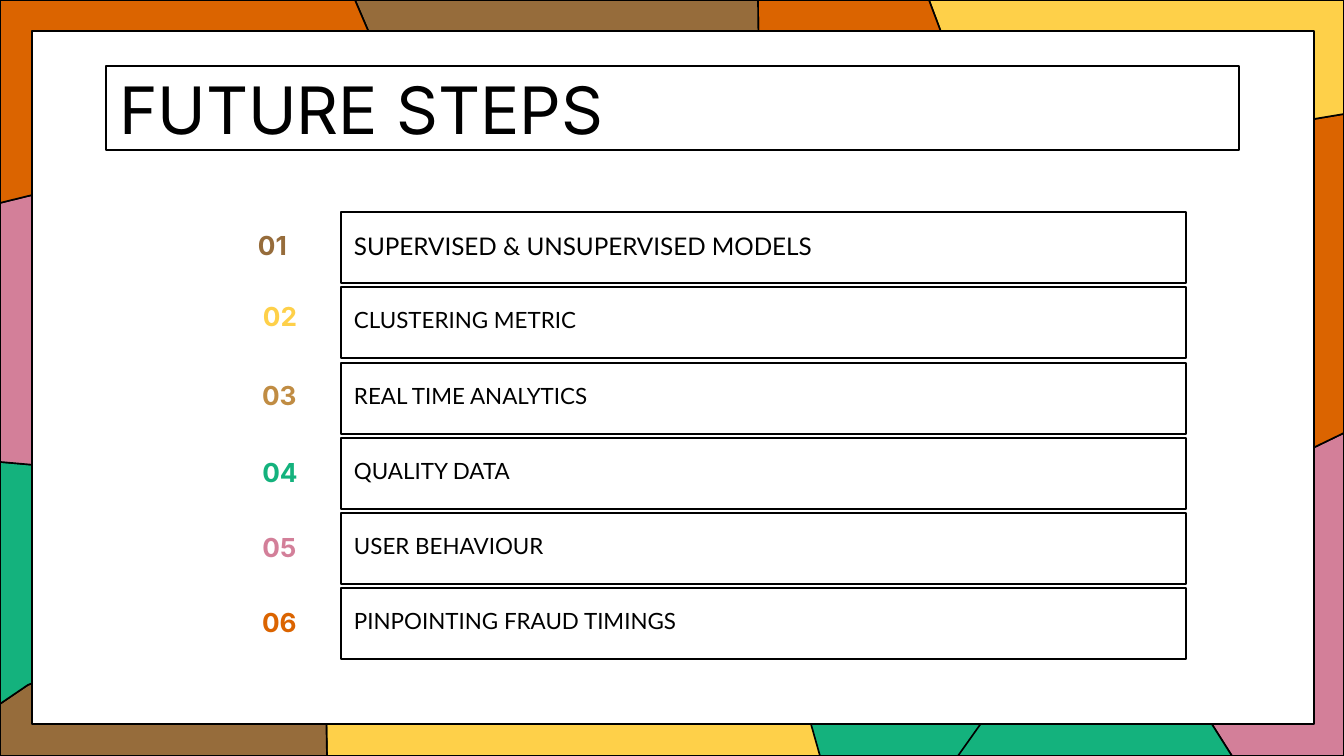
"""Builds the Future Steps slide: a mosaic border around six numbered boxes."""
import copy
import dataclasses

import pptx
import pptx.dml.color
import pptx.enum.shapes
import pptx.enum.text
import pptx.util

PX = 914400 / 134.4
ALIGN = pptx.enum.text.PP_ALIGN
ANCHOR = pptx.enum.text.MSO_ANCHOR


@dataclasses.dataclass(frozen=True)
class Theme:
    """Colours, fonts and type sizes of the slide."""
    black: str = "000000"
    white: str = "FFFFFF"
    brown: str = "966C3B"
    yellow: str = "FED049"
    tan: str = "C08C43"
    green: str = "14B27D"
    pink: str = "D37F99"
    orange: str = "DB6400"
    heading: str = "Inter"
    body: str = "Lato"
    title_size: int = 35
    number_size: int = 14
    lead_size: int = 13
    item_size: int = 12
    box_line: float = 0.75
    tile_line: float = 0.88


THEME = Theme()

TILES = [
    (THEME.yellow, [(327, 756), (326, 700), (300, 598), (310, 597), (534, 555),
                    (554, 574), (789, 689), (811, 724), (820, 756)]),
    (THEME.brown, [(0, 756), (0, 704), (28, 685), (141, 641), (300, 598),
                   (326, 700), (327, 756)]),
    (THEME.pink, [(1232, 756), (1160, 642), (1116, 569), (1224, 491),
                  (1344, 433), (1344, 756)]),
    (THEME.green, [(0, 704), (0, 462), (125, 473), (274, 559), (300, 598),
                   (141, 641), (28, 685)]),
    (THEME.green, [(958, 756), (1029, 656), (1116, 569), (1160, 642), (1232, 756)]),
    (THEME.orange, [(1116, 569), (1107, 552), (1063, 411), (973, 117), (1055, 132),
                    (1140, 137), (1242, 131), (1344, 114), (1344, 433), (1224, 491)]),
    (THEME.yellow, [(1140, 137), (1055, 132), (973, 117), (929, 0), (1344, 0),
                    (1344, 114), (1242, 131)]),
    (THEME.orange, [(973, 117), (871, 97), (759, 85), (758, 0), (929, 0)]),
    (THEME.brown, [(396, 113), (382, 63), (355, 0), (758, 0), (759, 85),
                   (698, 82), (546, 91)]),
    (THEME.pink, [(300, 598), (274, 559), (125, 473), (0, 462), (0, 203), (163, 163),
                  (396, 113), (478, 454), (532, 555), (310, 597)]),
    (THEME.orange, [(0, 203), (0, 0), (355, 0), (382, 63), (396, 113), (163, 163)]),
]

STEPS = [
    ("SUPERVISED & UNSUPERVISED MODELS", THEME.lead_size, THEME.brown, (237, 222, 71, 51)),
    ("CLUSTERING METRIC", THEME.item_size, THEME.yellow, (237, 293, 86, 51)),
    ("REAL TIME ANALYTICS", THEME.item_size, THEME.tan, (235, 372, 89, 51)),
    ("QUALITY DATA", THEME.item_size, THEME.green, (235, 449, 90, 51)),
    ("USER BEHAVIOUR", THEME.item_size, THEME.pink, (236, 524, 87, 51)),
    ("PINPOINTING FRAUD TIMINGS", THEME.item_size, THEME.orange, (235, 599, 89, 51)),
]


def px(length):
    """Turn px into EMU."""
    return pptx.util.Emu(round(length * PX))


def rgb(color):
    """Turn a hex string into a colour."""
    return pptx.dml.color.RGBColor.from_string(color)


def write(box, text, *, font, size, color=THEME.black, bold=False,
          align=ALIGN.LEFT, anchor=ANCHOR.TOP, insets=(13, 7, 13, 7)):
    """Put one formatted paragraph into a box."""
    frame = box.text_frame
    frame.word_wrap = True
    frame.auto_size = pptx.enum.text.MSO_AUTO_SIZE.NONE
    frame.vertical_anchor = anchor
    (frame.margin_left, frame.margin_top,
     frame.margin_right, frame.margin_bottom) = map(px, insets)
    para = frame.paragraphs[0]
    para.alignment = align
    para.space_before = pptx.util.Pt(0)
    span = para.add_run()
    span.text = text
    span.font.name = font
    span.font.size = pptx.util.Pt(size)
    span.font.bold = bold
    span.font.color.rgb = rgb(color)


class Painter:
    """Holds the theme and the current slide, and draws elements on it."""

    def __init__(self, page, theme):
        """Keep the slide and its title and body placeholders."""
        self.page = page
        self.theme = theme
        self.heading, self.body = page.placeholders

    def outline(self, shape, fill=None, width=None):
        """Give a shape its fill and black line."""
        if fill:
            shape.fill.solid()
            shape.fill.fore_color.rgb = rgb(fill)
        shape.line.color.rgb = rgb(self.theme.black)
        shape.line.width = pptx.util.Pt(width or self.theme.box_line)

    def place(self, shape, bounds):
        """Move and size a shape."""
        shape.left, shape.top, shape.width, shape.height = map(px, bounds)

    def tile(self, color, points):
        """Draw one piece of the mosaic."""
        builder = self.page.shapes.build_freeform(*points[0], scale=PX)
        builder.add_line_segments(points[1:], close=True)
        shape = builder.convert_to_shape()
        shape.shadow.inherit = False
        self.outline(shape, color, self.theme.tile_line)

    def panel(self, color, bounds):
        """Draw a plain rectangle."""
        kind = pptx.enum.shapes.MSO_SHAPE.RECTANGLE
        shape = self.page.shapes.add_shape(kind, *map(px, bounds))
        shape.shadow.inherit = False
        self.outline(shape, color)

    def title(self, text, bounds):
        """Fill the title placeholder and bring it to the front."""
        self.page.shapes.element.append(self.heading.element)
        self.place(self.heading, bounds)
        self.outline(self.heading)
        write(self.heading, text, font=self.theme.heading, size=self.theme.title_size,
              anchor=ANCHOR.MIDDLE, insets=(13, 13, 13, 13))

    def number(self, text, color, bounds):
        """Write the coloured number of a step."""
        box = self.page.shapes.add_textbox(*map(px, bounds))
        write(box, text, font=self.theme.heading, size=self.theme.number_size,
              color=color, bold=True, align=ALIGN.CENTER)

    def step(self, text, size, bounds):
        """Write a step into a fresh body placeholder."""
        element = copy.deepcopy(self.body.element)
        properties = element.nvSpPr.cNvPr
        properties.id = max(shape.shape_id for shape in self.page.shapes) + 1
        properties.name = f"Step {properties.id}"
        self.page.shapes.element.append(element)
        box = self.page.shapes[-1]
        self.place(box, bounds)
        self.outline(box, self.theme.white)
        write(box, text, font=self.theme.body, size=size, insets=(13, 19, 13, 13))

    def finish(self):
        """Remove the empty body placeholder."""
        self.page.shapes.element.remove(self.body.element)


def main():
    """Build and save the deck."""
    deck = pptx.Presentation()
    deck.slide_width, deck.slide_height = px(1344), px(756)
    painter = Painter(deck.slides.add_slide(deck.slide_layouts[0]), THEME)
    painter.panel(THEME.green, (263, 79, 880, 677))
    for color, points in TILES:
        painter.tile(color, points)
    painter.panel(THEME.white, (32, 31, 1282, 693))
    painter.title("FUTURE STEPS", (106, 66, 1133, 84))
    for index, (text, size, color, bounds) in enumerate(STEPS):
        painter.number(f"{index + 1:02}", color, bounds)
        painter.step(text, size, (341, round(212 + 75.3 * index), 845, 71))
    painter.finish()
    deck.save("out.pptx")


if __name__ == "__main__":
    main()
